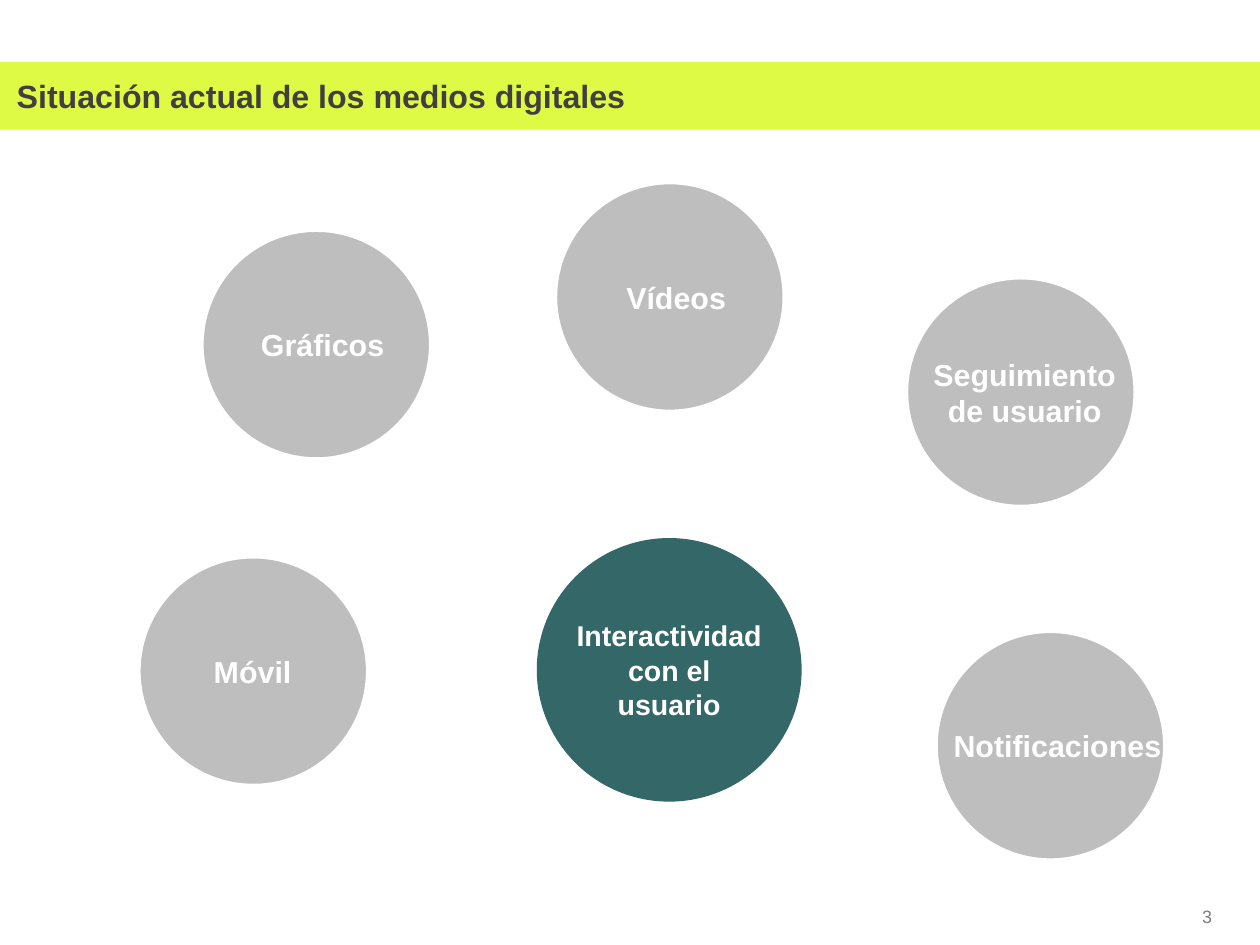
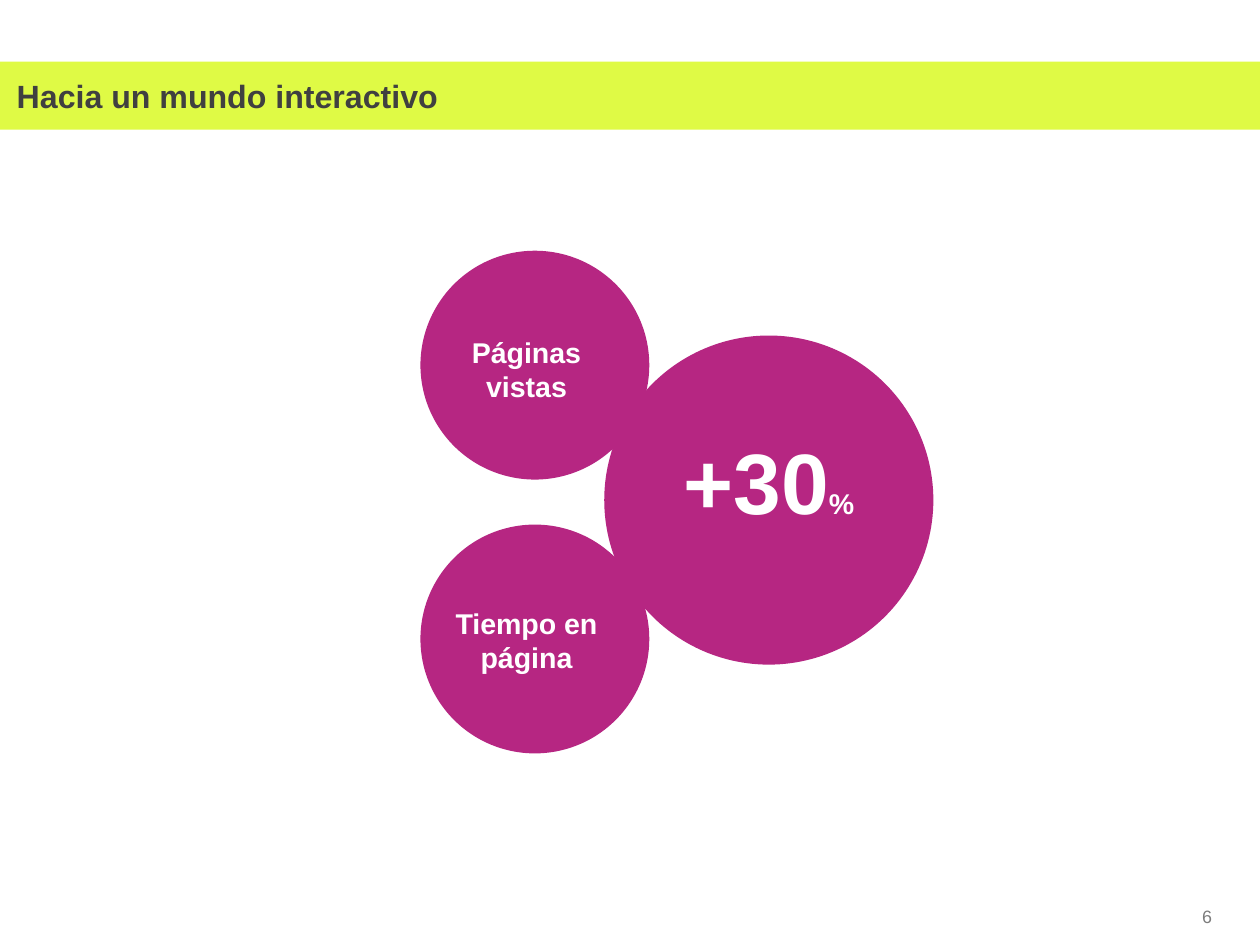
"""Builds two slides about interactivity in digital media."""
from pptx import Presentation
from pptx.dml.color import RGBColor
from pptx.enum.shapes import MSO_SHAPE as Preset
from pptx.enum.text import MSO_ANCHOR as Anchor, MSO_AUTO_SIZE as AutoSize, PP_ALIGN as Align
from pptx.util import Inches, Pt

COLORS = {
    "band": "DFFA45",
    "title": "404040",
    "number": "7C7C7C",
    "topic": "BEBEBE",
    "focus": "346767",
    "result": "B62682",
    "white": "FFFFFF",
}
FONT = "Arial"
CIRCLE = 1.78
TOPIC_LABEL_HEIGHT = 1.26
METRIC_LABEL_HEIGHT = 0.6

TOPICS = [
    ("Vídeos", 4.32, 1.42, 4.58, 1.36),
    ("Móvil", 1.08, 4.33, 1.2, 1.53),
    ("Gráficos", 1.57, 1.79, 1.83, 1.36),
    ("Seguimiento de usuario", 7.05, 2.16, 7.23, 1.48),
    ("Notificaciones", 7.28, 4.91, 7.28, 1.89),
]
METRICS = [("Páginas vistas", 1.95, 2.57), ("Tiempo en página", 4.08, 4.68)]


def rgb(name):
    """Return the palette colour with this name."""
    return RGBColor.from_string(COLORS[name])


def place(item, left, top, width, height):
    """Move and size an element, in inches."""
    item.left, item.top = Inches(left), Inches(top)
    item.width, item.height = Inches(width), Inches(height)


def style_run(run, size, color, bold=True):
    """Set the font of a run."""
    run.font.name, run.font.size, run.font.bold = FONT, Pt(size), bold
    run.font.color.rgb = rgb(color)


def write(frame, text, size, color="white", bold=True, align=Align.CENTER, inset=0, wrap=True):
    """Fill a text frame with one vertically centred paragraph."""
    frame.text = text
    frame.word_wrap, frame.auto_size = wrap, AutoSize.NONE
    frame.vertical_anchor = Anchor.MIDDLE
    frame.margin_left = frame.margin_right = Inches(inset)
    frame.margin_top = frame.margin_bottom = Inches(inset)
    paragraph = frame.paragraphs[0]
    paragraph.alignment = align
    style_run(paragraph.runs[0], size, color, bold)
    return paragraph


def add_label(slide, box, text, size, **options):
    """Add a text box and return its paragraph."""
    label = slide.shapes.add_textbox(*map(Inches, box))
    return write(label.text_frame, text, size, **options)


def add_filled(slide, preset, box, fill, line=None, line_width=0.75):
    """Add a flat preset shape."""
    shape = slide.shapes.add_shape(preset, *map(Inches, box))
    shape.shadow.inherit = False
    shape.fill.solid()
    shape.fill.fore_color.rgb = rgb(fill)
    if line:
        shape.line.color.rgb = rgb(line)
        shape.line.width = Pt(line_width)
    else:
        shape.line.fill.background()
    return shape


def prepare_layout(prs):
    """Put the title band and title position on the title-only layout."""
    layout = prs.slide_layouts[5]
    place(layout.placeholders[0], 0.13, 0.59, 9.04, 0.31)
    return layout


def add_base_slide(prs, layout, title, number):
    """Add a slide with band, title and page number."""
    slide = prs.slides.add_slide(layout)
    band = add_filled(slide, Preset.RECTANGLE, (0, 0.48, 9.8, 0.53), "band")
    if len(prs.slides) == 1:
        layout.shapes.element.insert(2, band.element)
    else:
        band.element.getparent().remove(band.element)
    write(slide.shapes.title.text_frame, title, 18, color="title", align=Align.LEFT)
    add_label(slide, (9.35, 7.04, 0.23, 0.17), number, 10, color="number",
              bold=False, align=Align.LEFT, wrap=False)
    return slide


def build_media_slide(prs, layout):
    """Show the topics around user interactivity."""
    slide = add_base_slide(prs, layout, "Situación actual de los medios digitales", "3")
    label_drop = (CIRCLE - TOPIC_LABEL_HEIGHT) / 2
    for text, left, top, label_left, label_width in TOPICS:
        add_filled(slide, Preset.OVAL, (left, top, CIRCLE, CIRCLE), "topic", "white", 2)
        add_label(slide, (label_left, top + label_drop, label_width, TOPIC_LABEL_HEIGHT),
                  text, 17, inset=0.01)
    focus = add_filled(slide, Preset.OVAL, (4.18, 4.19, 2.05, 2.04), "focus", "focus")
    write(focus.text_frame, "Interactividad con el usuario", 16)


def build_growth_slide(prs, layout):
    """Show the metrics that grow with interactivity."""
    slide = add_base_slide(prs, layout, "Hacia un mundo interactivo", "6")
    for text, top, label_top in METRICS:
        add_filled(slide, Preset.OVAL, (3.27, top, CIRCLE, CIRCLE), "result")
        add_label(slide, (3.27, label_top, 1.65, METRIC_LABEL_HEIGHT), text, 16, inset=0.1)
    add_filled(slide, Preset.OVAL, (4.7, 2.61, 2.56, 2.56), "result")
    growth = add_label(slide, (4.98, 3.74, 2, 0.45), "+30", 48, inset=0.05)
    growth.line_spacing = Pt(25)
    percent = growth.add_run()
    percent.text = "%"
    style_run(percent, 16, "white")


def main():
    """Build and save the presentation."""
    prs = Presentation()
    prs.slide_width, prs.slide_height = Inches(9.8), Inches(7.35)
    layout = prepare_layout(prs)
    build_media_slide(prs, layout)
    build_growth_slide(prs, layout)
    prs.save("out.pptx")


main()
